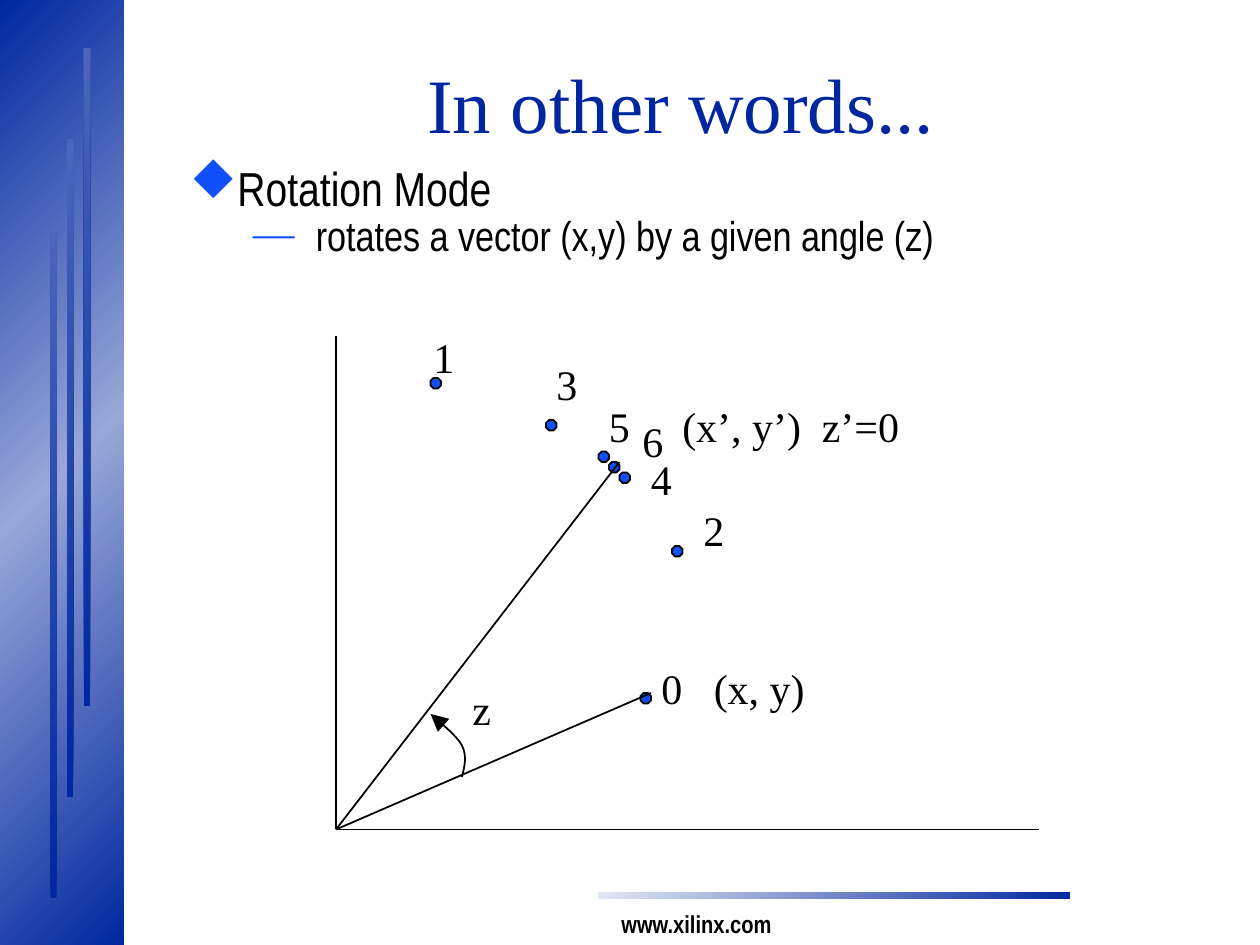
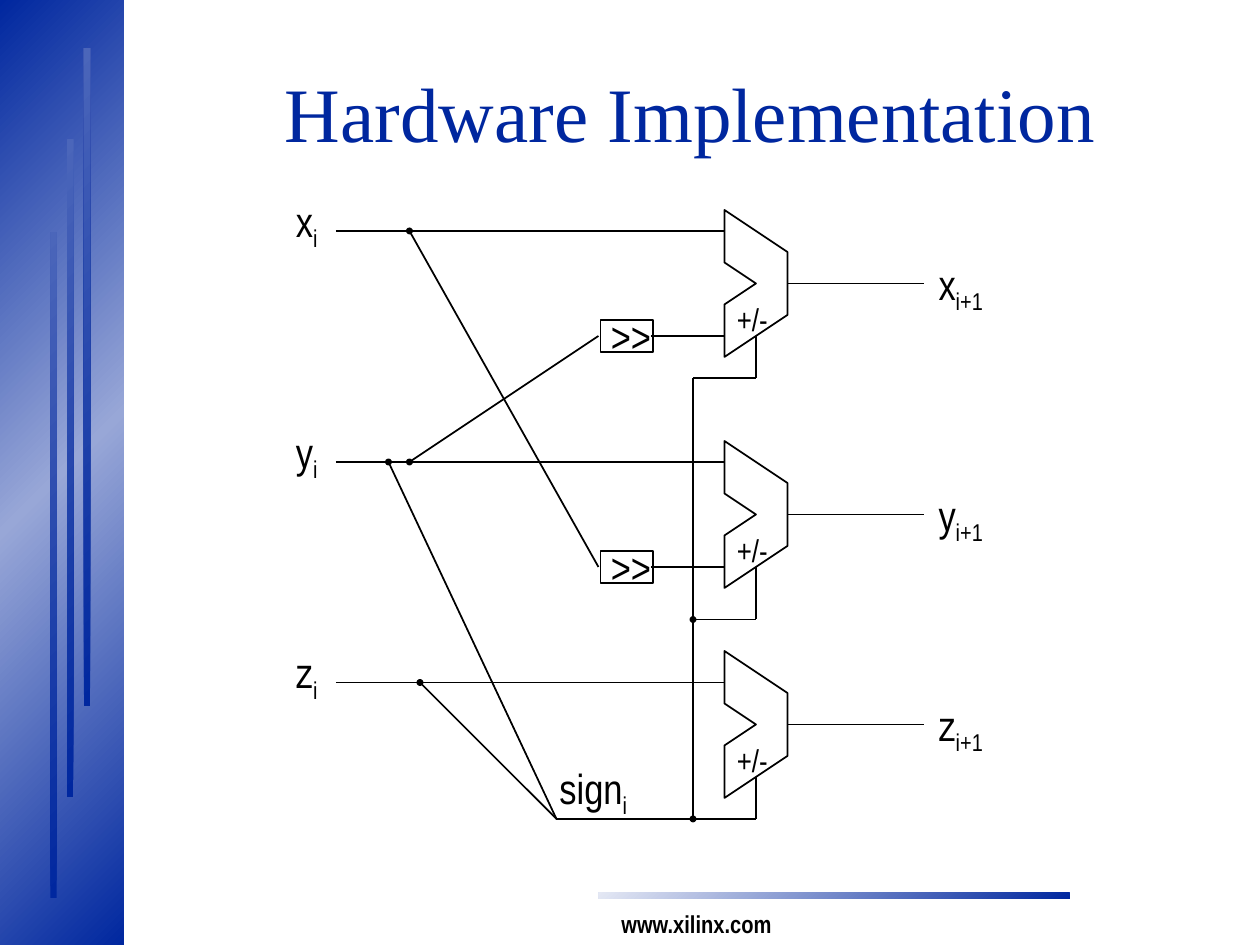
"""Build two slides on vector rotation: the rotation mode and its hardware."""
from copy import deepcopy

from lxml import etree
from pptx import Presentation
from pptx.dml.color import RGBColor
from pptx.enum.shapes import MSO_CONNECTOR, MSO_SHAPE
from pptx.enum.text import MSO_ANCHOR, MSO_AUTO_SIZE, PP_ALIGN
from pptx.oxml.ns import qn
from pptx.util import Cm, Pt

RECTANGLE = MSO_SHAPE.RECTANGLE
OCTAGON = MSO_SHAPE.OCTAGON
STRAIGHT = MSO_CONNECTOR.STRAIGHT
MIDDLE = MSO_ANCHOR.MIDDLE
CENTER = PP_ALIGN.CENTER
FIT_SHAPE = MSO_AUTO_SIZE.SHAPE_TO_FIT_TEXT
FIXED_SIZE = MSO_AUTO_SIZE.NONE

NAVY = RGBColor(0x00, 0x27, 0x9F)
PERIWINKLE = RGBColor(0x98, 0xA7, 0xD7)
STEEL = RGBColor(0x4B, 0x66, 0xBA)
PALE = RGBColor(0xE4, 0xE8, 0xF4)
BLUE = RGBColor(0x11, 0x4F, 0xFB)
BLACK = RGBColor(0x00, 0x00, 0x00)

SERIF = "Times New Roman"
NARROW = "Arial Narrow"
TITLE = {"name": SERIF, "size": Pt(44)}
FOOTER = {"name": NARROW, "size": Pt(14), "bold": True}
POINT_LABEL = {"name": SERIF, "size": Pt(24)}
SIGNAL = {"name": NARROW, "size": Pt(24)}
OPERATION = {"name": NARROW, "size": Pt(18)}

STEP = 25.4 / 120
LINE_WIDTH = Pt(1)

DECORATIONS = [
    ((0, 0, 11.8, 90), [NAVY, PERIWINKLE, NAVY]),
    ((4.8, 22.1, 0.6, 63.4), [NAVY, STEEL]),
    ((6.4, 13.3, 0.6, 62.6), [NAVY, STEEL]),
    ((8, 4.6, 0.6, 62.6), [NAVY, STEEL]),
    ((57, 85, 44.9, 0.6), [NAVY, PALE]),
]


def add_text(slide, box, text, style, color=BLACK, subscript="", wrap=False):
    """Add a text box placed in grid steps and return its text frame."""
    frame = slide.shapes.add_textbox(*[Cm(STEP * n) for n in box]).text_frame
    frame.word_wrap = wrap
    frame.auto_size = FIXED_SIZE if wrap else FIT_SHAPE
    paragraph = frame.paragraphs[0]
    for part in filter(None, (text, subscript)):
        run = paragraph.add_run()
        run.text = part
        for name, value in style.items():
            setattr(run.font, name, value)
        run.font.color.rgb = color
    if subscript:
        run._r.get_or_add_rPr().set("baseline", "-25000")
    return frame


def add_line(slide, ends, dot=False):
    """Add a black line between grid points, with an optional dot at its start."""
    connector = slide.shapes.add_connector(STRAIGHT, *[Cm(STEP * n) for n in ends])
    connector.line.color.rgb = BLACK
    connector.line.width = LINE_WIDTH
    properties = connector._element.spPr
    if dot:
        etree.SubElement(properties.find(qn("a:ln")), qn("a:headEnd"),
                         type="oval", w="sm", len="sm")
    etree.SubElement(properties, qn("a:effectLst"))


presentation = Presentation()
presentation.slide_width = Cm(25.4)
presentation.slide_height = Cm(19.05)

slides = []
for title, left, top in [("In other words...", 12, 3),
                         ("Hardware Implementation", 12.9, 3.8)]:
    slide = presentation.slides.add_slide(presentation.slide_layouts[6])
    slides.append(slide)
    for box, colors in DECORATIONS:
        shape = slide.shapes.add_shape(RECTANGLE, *[Cm(STEP * n) for n in box])
        shape.shadow.inherit = False
        shape.line.fill.background()
        shape.fill.gradient()
        shape.fill.gradient_angle = 135
        stop_list = shape._element.spPr.find(".//" + qn("a:gsLst"))
        while len(stop_list) < len(colors):
            stop_list.append(deepcopy(stop_list[0]))
        for index, stop in enumerate(shape.fill.gradient_stops):
            stop.color.rgb = colors[index]
            stop.position = index / (len(colors) - 1)
    add_text(slide, (58, 86, 16.8, 4), "www.xilinx.com", FOOTER)
    frame = add_text(slide, (left, top, 105.7, 15), title, TITLE, NAVY, wrap=True)
    frame.vertical_anchor = MIDDLE
    frame.paragraphs[0].alignment = CENTER
    frame.paragraphs[0].line_spacing = 0.85

rotation, hardware = slides

add_line(rotation, (32, 32, 32, 79))
add_line(rotation, (32, 79, 99, 79))

for label, dot_left, dot_top, label_left, label_top in [
    ("0", 61, 66, 61.8, 62.5),
    ("1", 41, 36, 40.1, 31),
    ("2", 64, 52, 65.8, 47.5),
    ("3", 52, 40, 51.8, 33.6),
    ("5", 57, 43, 56.8, 37.6),
    ("4", 59, 45, 60.8, 42.6),
    ("6", 58, 44, 60, 39),
]:
    dot = rotation.shapes.add_shape(
        OCTAGON, *[Cm(STEP * n) for n in (dot_left, dot_top, 1, 1)])
    dot.shadow.inherit = False
    dot.fill.solid()
    dot.fill.fore_color.rgb = BLUE
    dot.line.color.rgb = BLACK
    dot.line.width = LINE_WIDTH
    add_text(rotation, (label_left, label_top, 4.4, 6), label, POINT_LABEL)

for vector_tip in [(62, 66), (59, 44)]:
    add_line(rotation, (32, 79, *vector_tip))

for label, left, top, width in [("(x, y)", 66.8, 62.5, 11.2),
                                ("z", 43.8, 64.5, 4.2),
                                ("(x’, y’)", 63.8, 37.6, 13.8),
                                ("z’=0", 77.1, 37.6, 9.9)]:
    add_text(rotation, (left, top, width, 6), label, POINT_LABEL)

arc_points = []
for curve in [((44, 74), (44.25, 73), (44.5, 72), (44, 71)),
              ((44, 71), (43.5, 70), (41.5, 68.5), (41, 68))]:
    for t in [n / 8 for n in range(9)]:
        weights = ((1 - t) ** 3, 3 * t * (1 - t) ** 2, 3 * t ** 2 * (1 - t), t ** 3)
        arc_points.append(tuple(
            Cm(STEP * sum(w * n for w, n in zip(weights, axis))) for axis in zip(*curve)))
builder = rotation.shapes.build_freeform(*arc_points[0])
builder.add_line_segments(arc_points[1:], close=False)
arc = builder.convert_to_shape()
arc.shadow.inherit = False
arc.fill.background()
arc.line.color.rgb = BLACK
arc.line.width = LINE_WIDTH
etree.SubElement(arc._element.spPr.find(qn("a:ln")), qn("a:tailEnd"),
                 type="triangle", w="lg", len="lg")

frame = add_text(rotation, (16.9, 16, 88, 9.4), "Rotation Mode",
                 {"name": NARROW, "size": Pt(27.2)}, wrap=True)
detail = frame.add_paragraph()
detail.level = 1
detail.space_before = Pt(5.2)
run = detail.add_run()
run.text = "rotates a vector (x,y) by a given angle (z)"
for name, value in {"name": NARROW, "size": Pt(23.8)}.items():
    setattr(run.font, name, value)
run.font.color.rgb = BLACK
for paragraph, bullet, bullet_font, margin, hanging in [
    (frame.paragraphs[0], "u", {"typeface": "Wingdings", "charset": "2"}, 0.96, 0.96),
    (detail, "—", {"typeface": SERIF}, 2.54, 1.27),
]:
    paragraph.line_spacing = 0.7
    properties = paragraph._p.get_or_add_pPr()
    properties.set("marL", str(Cm(margin)))
    properties.set("indent", str(-Cm(hanging)))
    bullet_color = etree.SubElement(properties, qn("a:buClr"))
    etree.SubElement(bullet_color, qn("a:srgbClr"), val=str(BLUE))
    etree.SubElement(properties, qn("a:buFont"), **bullet_font)
    etree.SubElement(properties, qn("a:buChar"), char=bullet)

ADDER = [(69, 0), (75, 4), (75, 10), (69, 14), (69, 9), (72, 7), (69, 5)]
for signal, top, wire, control in [("x", 20, 22, 36), ("y", 42, 44, 59), ("z", 62, 65, 78)]:
    outline = [(x, top + y) for x, y in ADDER]
    builder = hardware.shapes.build_freeform(*outline[0], scale=Cm(STEP))
    builder.add_line_segments(outline[1:], close=True)
    adder = builder.convert_to_shape()
    adder.shadow.inherit = False
    adder.fill.background()
    adder.line.color.rgb = BLACK
    adder.line.width = LINE_WIDTH
    add_text(hardware, (69, top + 8, 5.3, 4.8), "+/-", OPERATION)
    add_line(hardware, (32, wire, 69, wire))
    add_line(hardware, (75, top + 7, 88, top + 7))
    add_line(hardware, (72, control, 72, top + 12))
    add_text(hardware, (27, wire - 4, 4.6, 6.7), signal, SIGNAL, subscript="i")
    add_text(hardware, (88.2, top + 4, 6.6, 6.7), signal, SIGNAL, subscript="i+1")

for middle in (32, 54):
    shifter = hardware.shapes.add_shape(
        RECTANGLE, *[Cm(STEP * n) for n in (57.2, middle - 1.5, 5, 3)])
    shifter.shadow.inherit = False
    shifter.fill.background()
    shifter.line.color.rgb = BLACK
    shifter.line.width = LINE_WIDTH
    add_text(hardware, (57, middle - 3, 7.2, 6), ">>", SIGNAL, wrap=True)
    add_line(hardware, (62, middle, 69, middle))

for ends, dot in [
    ((39, 22, 57, 54), True),
    ((39, 44, 57, 32), True),
    ((37, 44, 53, 78), True),
    ((40, 65, 53, 78), True),
    ((53, 78, 72, 78), False),
    ((66, 78, 66, 36), True),
    ((66, 36, 72, 36), False),
    ((66, 59, 72, 59), True),
]:
    add_line(hardware, ends, dot)
add_text(hardware, (52.1, 72, 8.8, 6.7), "sign", SIGNAL, subscript="i")

presentation.save("out.pptx")
